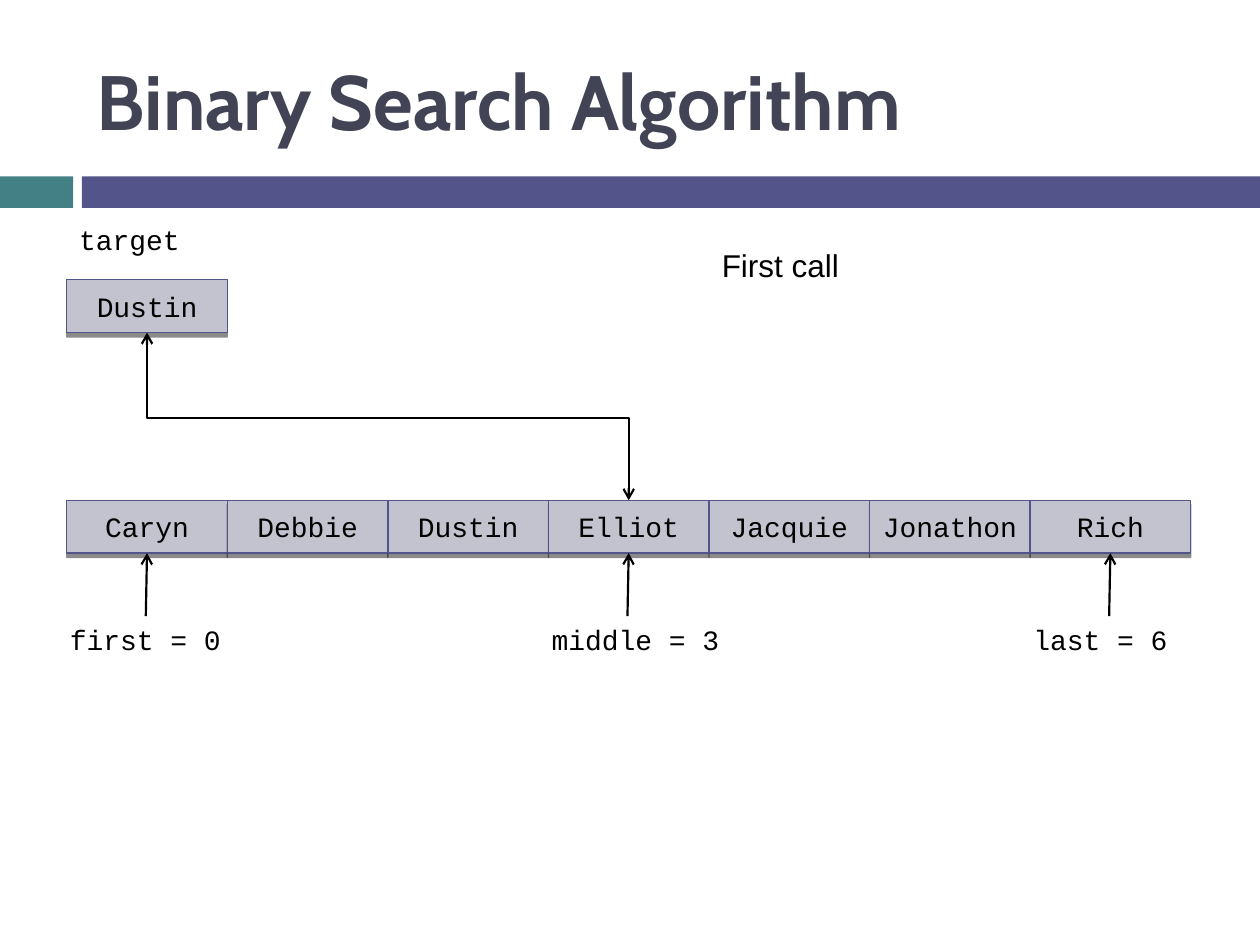
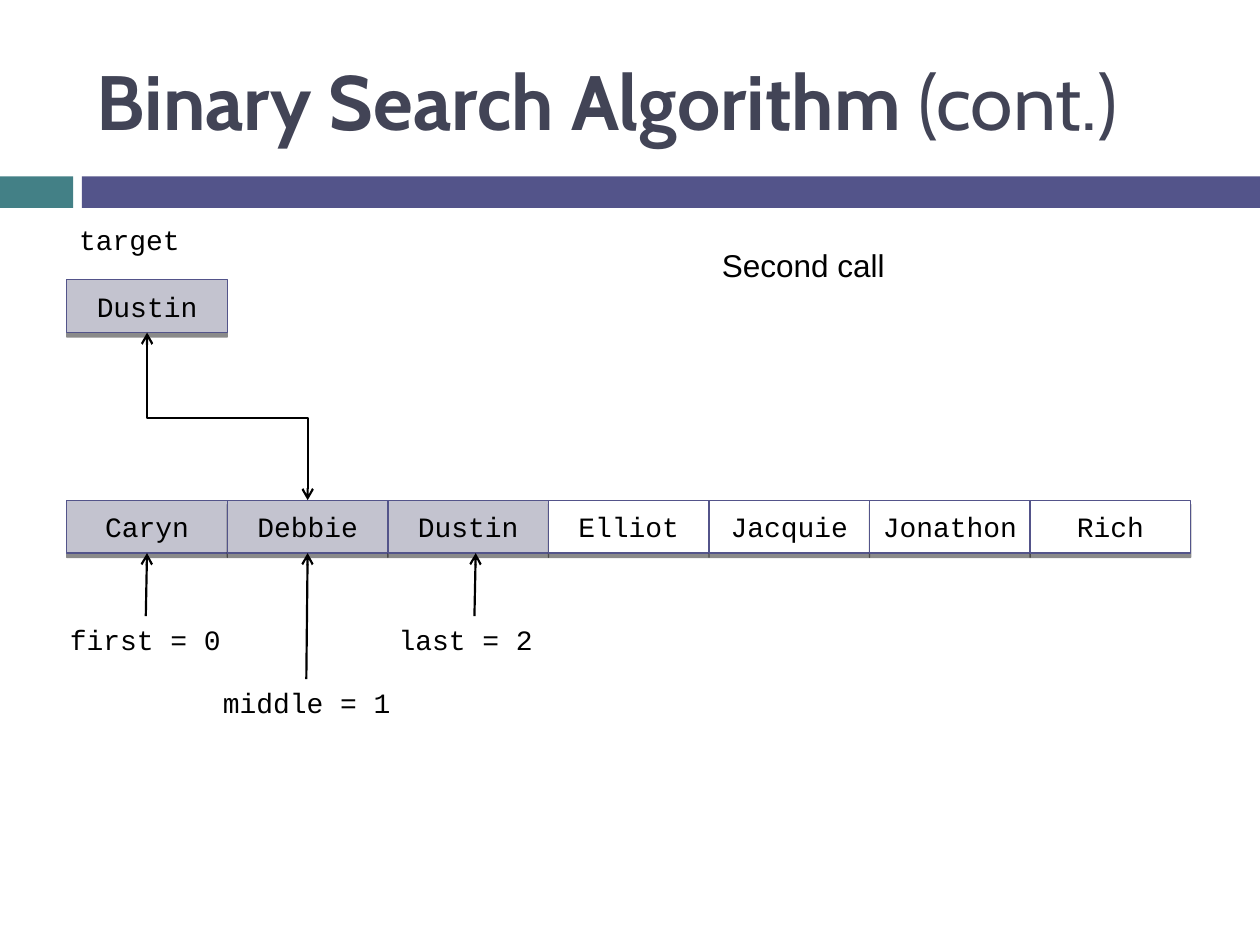
from lxml import etree
from pptx import Presentation
from pptx.dml import color
from pptx.enum import shapes, text
from pptx.oxml import ns
from pptx.util import Inches, Pt

NAMES = ["Caryn", "Debbie", "Dustin", "Elliot", "Jacquie", "Jonathon", "Rich"]
TARGET = "Dustin"

# Pointers: label, cell index, shift of the tip from the cell middle,
# distance from label edge to tip, arrow length
SLIDES = [
    {
        "title": [("Binary Search Algorithm", True)],
        "call": "First call",
        "searched": range(0, 7),
        "middle": 3,
        "pointers": [
            ("first = 0", 0, 0, 0.71, 0.5),
            ("last = 6", 6, 0, 0.71, 0.5),
            ("middle = 3", 3, 0, 0.71, 0.5),
        ],
    },
    {
        "title": [("Binary Search Algorithm ", True), ("(cont.)", False)],
        "call": "Second call",
        "searched": range(0, 3),
        "middle": 1,
        "pointers": [
            ("first = 0", 0, 0, 0.71, 0.5),
            ("last = 2", 2, 0.06, 0.71, 0.5),
            ("middle = 1", 1, 0, 0.77, 1.0),
        ],
    },
]

TEAL, INDIGO, SLATE = "438086", "53548A", "424456"
GREY, WHITE, BLACK = "C3C3CF", "FFFFFF", "000000"
BANDS = [(0, 0.58, TEAL), (0.65, 9.35, INDIGO)]
BAND_TOP, BAND_HEIGHT = 1.4, 0.25

ROW_LEFT, ROW_RIGHT, ROW_TOP, TARGET_TOP = 0.53, 9.45, 3.97, 2.22
CELL_WIDTH, CELL_HEIGHT = (ROW_RIGHT - ROW_LEFT) / len(NAMES), 0.42
ROW_BOTTOM = ROW_TOP + CELL_HEIGHT
LABEL_HEIGHT = 0.37
LABEL_WIDTHS = {"target": 1.01, "first": 1.41, "last": 1.28, "middle": 1.54}

CODE_FONT = {"name": "Courier New", "size": Pt(16)}
CALL_FONT = {"name": "Arial", "size": Pt(18)}
TITLE_FONT = {"name": "Cabin", "size": Pt(44)}


def rgb(value):
    return color.RGBColor.from_string(value)


def add_xml(parent, tag, **attributes):
    return etree.SubElement(parent, ns.qn(tag), attributes)


def write(paragraph, content, font, ink=BLACK, bold=False):
    run = paragraph.add_run()
    run.text = content
    for name, value in {**font, "bold": bold}.items():
        setattr(run.font, name, value)
    run.font.color.rgb = rgb(ink)


def add_rectangle(slide, left, top, width, height, fill):
    shape = slide.shapes.add_shape(
        shapes.MSO_SHAPE.RECTANGLE, *map(Inches, (left, top, width, height)))
    shape.shadow.inherit = False
    shape.fill.solid()
    shape.fill.fore_color.rgb = rgb(fill)
    shape.line.fill.background()
    return shape


def add_text(slide, left, top, width, height, wrap=True):
    """Add an empty text box and return its text frame."""
    box = slide.shapes.add_textbox(*map(Inches, (left, top, width, height)))
    box.text_frame.word_wrap = wrap
    return box.text_frame


def add_label(slide, content, left, top):
    width = LABEL_WIDTHS[content.split()[0]]
    frame = add_text(slide, left, top, width, LABEL_HEIGHT, wrap=False)
    frame.auto_size = text.MSO_AUTO_SIZE.SHAPE_TO_FIT_TEXT
    write(frame.paragraphs[0], content, CODE_FONT)


def add_frame(slide, title):
    """Add the colour bands and the title."""
    for left, width, fill in BANDS:
        add_rectangle(slide, left, BAND_TOP, width, BAND_HEIGHT, fill)
    frame = add_text(slide, 0.67, 0.25, 8.92, 1.08)
    frame.vertical_anchor = text.MSO_ANCHOR.MIDDLE
    for content, bold in title:
        write(frame.paragraphs[0], content, TITLE_FONT, SLATE, bold)


def add_cell(slide, name, left, top, fill):
    cell = add_rectangle(slide, left, top, CELL_WIDTH, CELL_HEIGHT, fill)
    cell.line.color.rgb = rgb(INDIGO)
    cell.line.width = Pt(0.79)
    effects = cell.element.spPr.find(ns.qn("a:effectLst"))
    shadow = add_xml(effects, "a:outerShdw", blurRad="0", dist=str(Pt(2.4)),
                     dir="5400000", algn="t", rotWithShape="0")
    add_xml(add_xml(shadow, "a:srgbClr", val=BLACK), "a:alpha", val="45000")
    frame = cell.text_frame
    frame.word_wrap = False
    frame.vertical_anchor = text.MSO_ANCHOR.MIDDLE
    frame.paragraphs[0].alignment = text.PP_ALIGN.CENTER
    write(frame.paragraphs[0], name, CODE_FONT)
    return cell


def style_arrow(connector, *ends):
    connector.line.color.rgb = rgb(BLACK)
    connector.line.width = Pt(1.25)
    line = connector.element.spPr.find(ns.qn("a:ln"))
    for end in ends:
        add_xml(line, end, type="arrow")
    add_xml(connector.element.spPr, "a:effectLst")


def add_pointer(slide, cell, content, index, shift, label_offset, length):
    tip = ROW_LEFT + (index + 0.5) * CELL_WIDTH + shift
    label_top = ROW_BOTTOM + length
    arrow = slide.shapes.add_connector(
        shapes.MSO_CONNECTOR.STRAIGHT,
        *map(Inches, (tip - 0.01, label_top, tip, ROW_BOTTOM)))
    if not shift:
        arrow.end_connect(cell, 2)
    style_arrow(arrow, "a:tailEnd")
    add_label(slide, content, tip - label_offset, label_top)


def add_comparison(slide, target, cell):
    """Join target and cell by an elbow that leaves and arrives vertically."""
    elbow = slide.shapes.add_connector(shapes.MSO_CONNECTOR.ELBOW, 0, 0, 0, 0)
    elbow.begin_connect(target, 2)
    elbow.end_connect(cell, 0)
    across, down = elbow.width, elbow.height
    # The preset leaves sideways, so it is mirrored and turned by 270 degrees.
    elbow.left += (across - down) // 2
    elbow.top += (down - across) // 2
    elbow.width, elbow.height = down, across
    properties = elbow.element.spPr
    transform = properties.find(ns.qn("a:xfrm"))
    transform.set("rot", "16200000")
    transform.set("flipH", "1")
    geometry = properties.find(ns.qn("a:prstGeom"))
    guides = geometry.find(ns.qn("a:avLst"))
    if guides is None:
        guides = add_xml(geometry, "a:avLst")
    add_xml(guides, "a:gd", name="adj1", fmla="val 51200")
    style_arrow(elbow, "a:headEnd", "a:tailEnd")


def add_search(slide, content):
    add_frame(slide, content["title"])
    cells = [
        add_cell(slide, name, ROW_LEFT + index * CELL_WIDTH, ROW_TOP,
                 GREY if index in content["searched"] else WHITE)
        for index, name in enumerate(NAMES)
    ]
    target = add_cell(slide, TARGET, ROW_LEFT, TARGET_TOP, GREY)
    add_label(slide, "target", ROW_LEFT, 1.72)
    for pointer in content["pointers"]:
        add_pointer(slide, cells[pointer[1]], *pointer)
    add_comparison(slide, target, cells[content["middle"]])
    frame = add_text(slide, 5.63, 1.9, 3.12, 0.4)
    write(frame.paragraphs[0], content["call"], CALL_FONT)


def main():
    presentation = Presentation()
    presentation.slide_width = Inches(10)
    presentation.slide_height = Inches(7.5)
    blank = presentation.slide_layouts[6]
    for content in SLIDES:
        add_search(presentation.slides.add_slide(blank), content)
    presentation.save("out.pptx")


if __name__ == "__main__":
    main()
